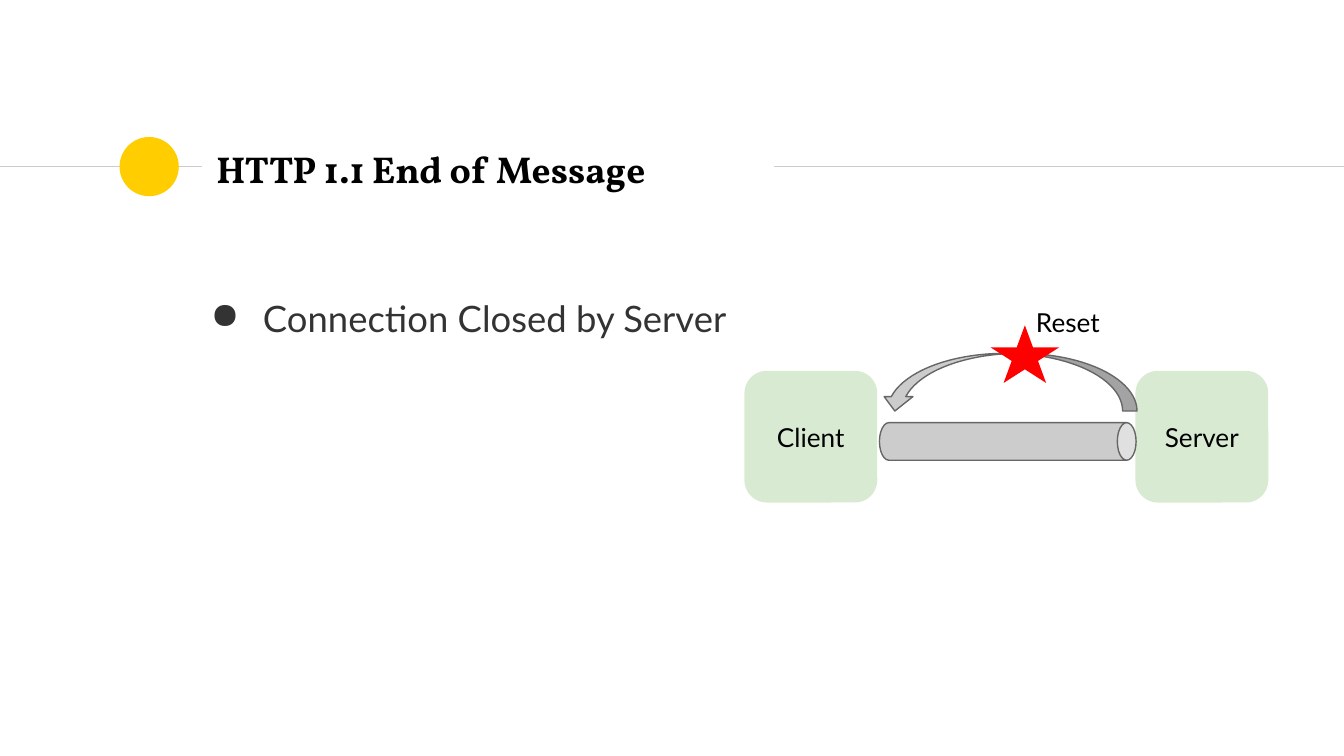
from dataclasses import dataclass
from typing import Optional

from lxml import etree
from pptx import Presentation
from pptx.dml.color import RGBColor
from pptx.enum.shapes import MSO_CONNECTOR, MSO_SHAPE
from pptx.enum.text import MSO_ANCHOR, PP_ALIGN
from pptx.oxml.ns import qn
from pptx.util import Cm, Pt

STRAIGHT = MSO_CONNECTOR.STRAIGHT
OVAL = MSO_SHAPE.OVAL
ROUNDED = MSO_SHAPE.ROUNDED_RECTANGLE
CAN = MSO_SHAPE.CAN
CURVED_ARROW = MSO_SHAPE.CURVED_DOWN_ARROW
STAR = MSO_SHAPE.STAR_5_POINT
TOP, MIDDLE = MSO_ANCHOR.TOP, MSO_ANCHOR.MIDDLE
LEFT, CENTER = PP_ALIGN.LEFT, PP_ALIGN.CENTER
RULE_Y = 3.15


@dataclass
class Box:
    """Position and size in centimetres."""
    x: float
    y: float
    w: float
    h: float

    def lengths(self) -> tuple:
        """Return the four values as lengths."""
        return Cm(self.x), Cm(self.y), Cm(self.w), Cm(self.h)


@dataclass
class Node:
    """An endpoint of the connection."""
    label: str
    x: float


NODES = [Node("Client", 14.07), Node("Server", 21.46)]


def rgb(code: str) -> RGBColor:
    """Turn a hex string into a colour."""
    return RGBColor.from_string(code)


def write(s, text: str, size: float = 14, font: str = "Lato", color: str = "000000",
          bold: bool = False, align=LEFT, anchor=TOP, bullet: str = "",
          spacing: Optional[float] = None) -> None:
    """Put one formatted paragraph into a shape."""
    tf = s.text_frame
    tf.word_wrap = True
    tf.vertical_anchor = anchor
    tf.margin_left = tf.margin_right = tf.margin_top = tf.margin_bottom = Cm(0.25)
    p = tf.paragraphs[0]
    p.alignment = align
    if spacing:
        p.line_spacing = spacing
    if bullet:
        pPr = p._p.get_or_add_pPr()
        pPr.set("marL", str(Cm(1.27)))
        pPr.set("indent", str(Cm(-0.99)))
        clr = etree.SubElement(pPr, qn("a:buClr"))
        etree.SubElement(clr, qn("a:srgbClr"), val=color)
        etree.SubElement(pPr, qn("a:buChar"), char=bullet)
    r = p.add_run()
    r.text = text
    r.font.size, r.font.name, r.font.bold = Pt(size), font, bold
    r.font.color.rgb = rgb(color)


def add_text(slide, box: Box, text: str, **style) -> None:
    """Add a text box."""
    write(slide.shapes.add_textbox(*box.lengths()), text, **style)


def add_shape(slide, kind, box: Box, fill: str, line: str = "", adjust: tuple = ()):
    """Add a filled preset shape with an optional outline."""
    s = slide.shapes.add_shape(kind, *box.lengths())
    s.shadow.inherit = False
    s.fill.solid()
    s.fill.fore_color.rgb = rgb(fill)
    if line:
        s.line.color.rgb = rgb(line)
        s.line.width = Pt(0.75)
    else:
        s.line.fill.background()
    for i, value in enumerate(adjust):
        s.adjustments[i] = value
    return s


def add_rule(slide, x1: float, x2: float) -> None:
    """Add a horizontal rule at the height of the title."""
    c = slide.shapes.add_connector(STRAIGHT, Cm(x1), Cm(RULE_Y), Cm(x2), Cm(RULE_Y))
    c.line.color.rgb = rgb("CCCCCC")
    c.line.width = Pt(0.75)
    etree.SubElement(c._element.spPr, qn("a:effectLst"))


def main() -> None:
    """Build and save the slide."""
    prs = Presentation()
    prs.slide_width, prs.slide_height = Cm(25.4), Cm(14.29)
    slide = prs.slides.add_slide(prs.slide_layouts[6])

    add_rule(slide, 0, 3.81)
    add_shape(slide, OVAL, Box(2.26, RULE_Y - 0.56, 1.12, 1.12), "FFCD00")
    add_rule(slide, 14.63, 25.4)
    add_text(slide, Box(3.84, 2.57, 10.77, 1.22), "HTTP 1.1 End of Message",
             size=20, font="Vollkorn", bold=True, anchor=MIDDLE)
    add_text(slide, Box(3.45, 4.52, 14.73, 7.95), "Connection Closed by Server",
             size=19.5, color="333333", bullet="●", spacing=2.0)

    for node in NODES:
        s = add_shape(slide, ROUNDED, Box(node.x, 7.01, 2.51, 2.49), "D9EAD3",
                      adjust=(0.17,))
        write(s, node.label, align=CENTER, anchor=MIDDLE)

    pipe = add_shape(slide, CAN, Box(18.69, 5.92, 0.71, 4.85), "CCCCCC", "666666", (0.5,))
    pipe.rotation = 90
    arrow = add_shape(slide, CURVED_ARROW, Box(16.64, 6.68, 4.85, 1.09), "CCCCCC",
                      "666666", (0.25, 0.5, 0.25))
    arrow._element.spPr.find(qn("a:xfrm")).set("flipH", "1")
    add_shape(slide, STAR, Box(18.72, 6.15, 1.3, 1.09), "FF0000")
    add_text(slide, Box(19.33, 5.54, 1.96, 0.91), "Reset")

    prs.save("out.pptx")


if __name__ == "__main__":
    main()
